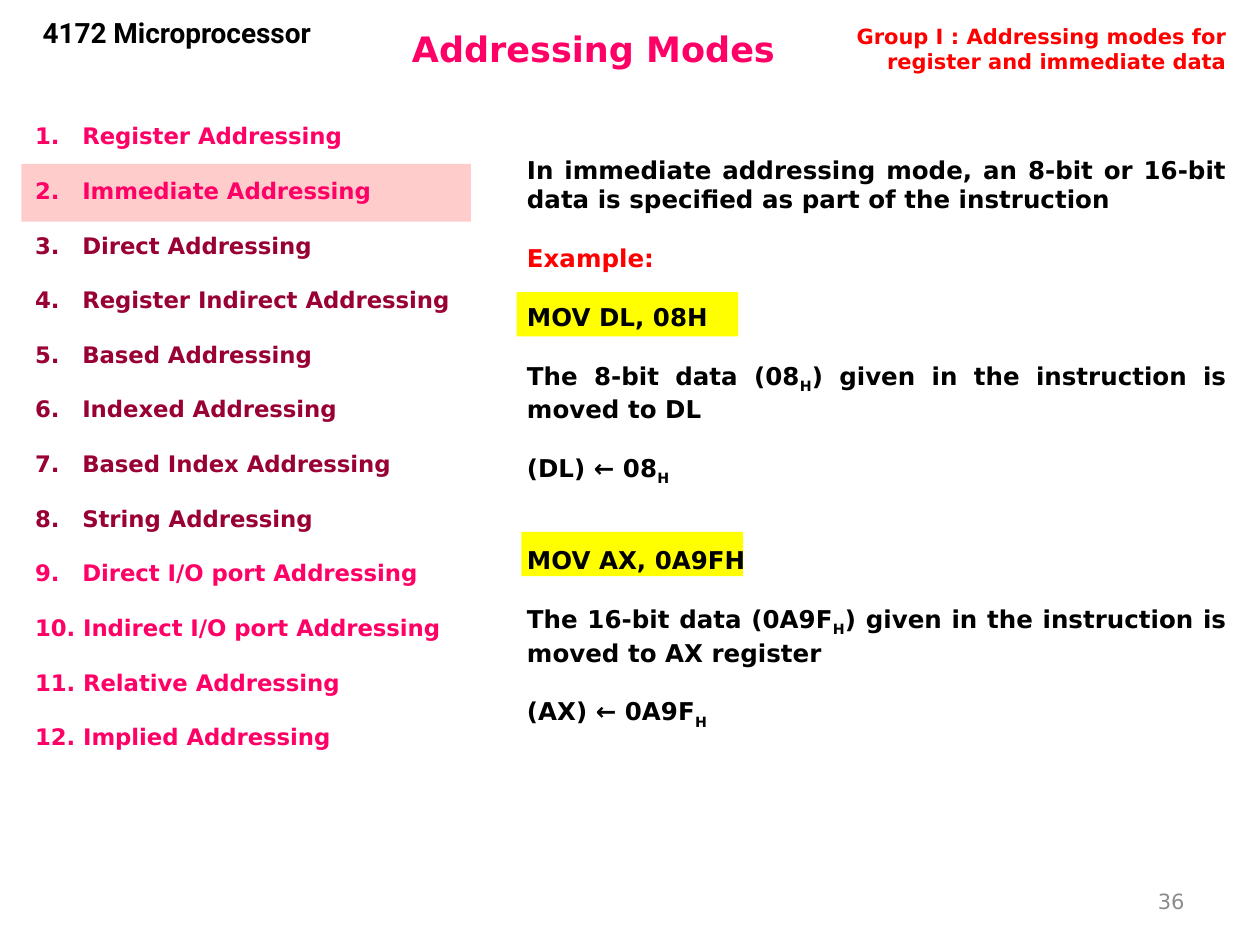
from lxml import etree
from pptx import Presentation
from pptx.dml.color import RGBColor
from pptx.enum.shapes import MSO_SHAPE
from pptx.enum.text import MSO_ANCHOR, MSO_AUTO_SIZE, PP_ALIGN
from pptx.oxml.ns import qn
from pptx.util import Pt

RECT = MSO_SHAPE.RECTANGLE
TOP, MID = MSO_ANCHOR.TOP, MSO_ANCHOR.MIDDLE
FIXED = MSO_AUTO_SIZE.NONE
LEFT, MIDDLE, RIGHT, JUST = (
    PP_ALIGN.LEFT, PP_ALIGN.CENTER, PP_ALIGN.RIGHT, PP_ALIGN.JUSTIFY)

COLORS = {
    "pink": "FF0066", "wine": "990033", "red": "FF0000", "black": "000000",
    "gray": "8C8C8C", "yellow": "FFFF00", "rose": "FFCCCC",
}
FONT = "DejaVu Sans"
INDENT = 27
LEADING = 1.2

MODES = [
    ("Register Addressing", "pink"),
    ("Immediate Addressing", "pink"),
    ("Direct Addressing", "wine"),
    ("Register Indirect Addressing", "wine"),
    ("Based Addressing", "wine"),
    ("Indexed Addressing", "wine"),
    ("Based Index Addressing", "wine"),
    ("String Addressing", "wine"),
    ("Direct I/O port Addressing", "pink"),
]
TYPED = [
    "10. Indirect I/O port Addressing",
    "11. Relative Addressing",
    "12. Implied Addressing",
]
# Lines of space above, colour, then runs: every second run is a subscript.
NOTES = [
    (0, "black", ["In immediate addressing mode, an 8-bit or 16-bit data "
                  "is specified as part of the instruction"]),
    (1, "red", ["Example:"]),
    (1, "black", ["MOV DL, 08H"]),
    (1, "black", ["The 8-bit data (08", "H",
                  ") given in the instruction is moved to DL"]),
    (1, "black", ["(DL) ← 08", "H"]),
    (2, "black", ["MOV AX, 0A9FH"]),
    (1, "black", ["The 16-bit data (0A9F", "H",
                  ") given in the instruction is moved to AX register"]),
    (1, "black", ["(AX) ← 0A9F", "H"]),
]


def rgb(name):
    return RGBColor.from_string(COLORS[name])


class Deck:
    def __init__(self):
        self.prs = Presentation()
        self.prs.slide_width, self.prs.slide_height = Pt(720), Pt(540)
        self.slide = self.prs.slides.add_slide(self.prs.slide_layouts[1])

    def mark(self, x, y, w, h, color):
        """Add a plain highlight behind everything else."""
        shape = self.slide.shapes.add_shape(RECT, Pt(x), Pt(y), Pt(w), Pt(h))
        shape.shadow.inherit = False
        shape.fill.solid()
        shape.fill.fore_color.rgb = rgb(color)
        shape.line.fill.background()
        self.slide.shapes._spTree.insert(2, shape._element)

    def frame(self, shape, anchor=TOP):
        frame = shape.text_frame
        frame.word_wrap = True
        frame.auto_size = FIXED
        frame.vertical_anchor = anchor
        return frame

    def holder(self, idx, x, y, w, h, anchor=TOP):
        shape = self.slide.placeholders[idx]
        shape.left, shape.top, shape.width, shape.height = map(
            Pt, (x, y, w, h))
        return self.frame(shape, anchor)

    def box(self, x, y, w, h, anchor=TOP):
        shape = self.slide.shapes.add_textbox(Pt(x), Pt(y), Pt(w), Pt(h))
        return self.frame(shape, anchor)

    def para(self, frame, runs, size, color, align=LEFT, gap=0,
             font=FONT, bold=True):
        """Fill the empty first paragraph, or append one."""
        para = frame.paragraphs[0]
        if para.runs:
            para = frame.add_paragraph()
        para.alignment = align
        para.space_before = Pt(gap * size * LEADING)
        for i, text in enumerate(runs):
            run = para.add_run()
            run.text = text
            run.font.name, run.font.size = font, Pt(size)
            run.font.bold = bold
            run.font.color.rgb = rgb(color)
            if i % 2:
                run.font._element.set("baseline", "-25000")
        return para

    def number(self, para, auto):
        """Turn automatic numbering with a hanging indent on or off."""
        props = para._p.get_or_add_pPr()
        hang = Pt(INDENT) if auto else 0
        props.set("marL", str(hang))
        props.set("indent", str(-hang))
        if auto:
            etree.SubElement(props, qn("a:buFont"), typeface=FONT)
            etree.SubElement(props, qn("a:buAutoNum"), type="arabicPeriod")
        else:
            etree.SubElement(props, qn("a:buNone"))


def main():
    deck = Deck()
    deck.mark(298, 304, 126.7, 25.2, "yellow")
    deck.mark(295.2, 167, 126.7, 25.2, "yellow")
    deck.mark(12.2, 93.6, 257, 33.1, "rose")

    title = deck.holder(0, 228.2, 8.6, 473.8, 38.2, MID)
    deck.para(title, ["Addressing Modes"], 20, "pink")

    modes = deck.holder(1, 12.8, 66.2, 256.3, 369.4)
    for i, (text, color) in enumerate(MODES):
        para = deck.para(modes, [text], 13, color, gap=min(i, 1))
        deck.number(para, True)
    for text in TYPED:
        para = deck.para(modes, [text], 13, "pink", gap=1)
        deck.number(para, False)

    page = deck.box(516.2, 500.4, 167.8, 28.8, MID)
    deck.para(page, ["36"], 12, "gray", RIGHT, bold=False)

    course = deck.box(5, 5.3, 192.2, 46)
    deck.para(course, ["4172 Microprocessor"], 16, "black", MIDDLE,
              font="Roboto")

    notes = deck.box(294, 85, 414, 365.8)
    for gap, color, runs in NOTES:
        deck.para(notes, runs, 14, color, JUST, gap)

    group = deck.box(469.6, 10, 238.3, 36)
    deck.para(group, ["Group I : Addressing modes for register and "
                      "immediate data"], 12, "red", RIGHT)

    deck.prs.save("out.pptx")


if __name__ == "__main__":
    main()
